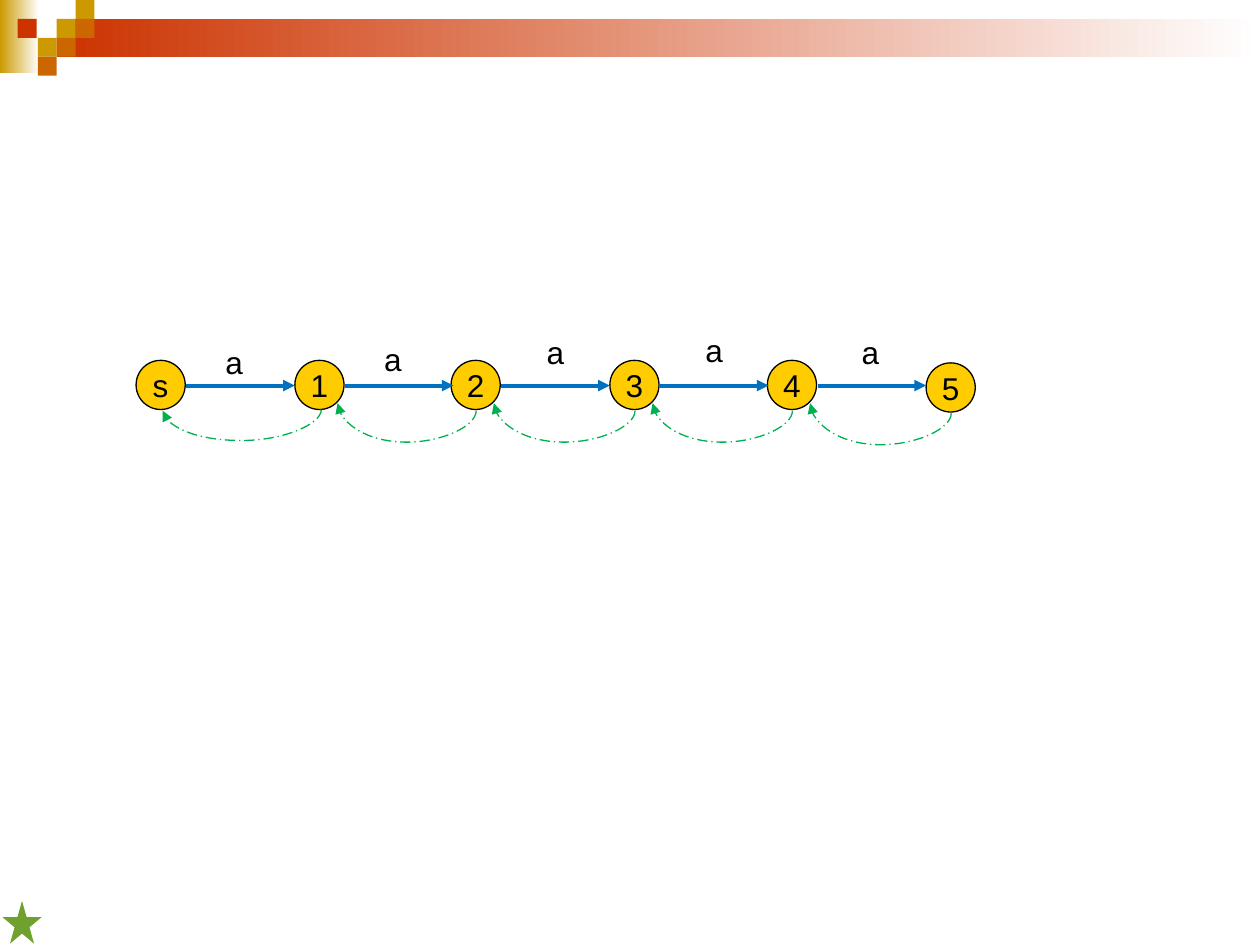
from lxml.etree import SubElement
from pptx import Presentation
from pptx.dml.color import RGBColor
from pptx.enum.dml import MSO_LINE
from pptx.enum.shapes import MSO_CONNECTOR, MSO_SHAPE
from pptx.enum.text import MSO_ANCHOR, MSO_AUTO_SIZE, PP_ALIGN
from pptx.oxml.ns import qn
from pptx.util import Inches, Pt

LEFTS = [1.08, 2.34, 3.58, 4.84, 6.09, 7.35]
TOPS = [2.86] * 5 + [2.88]
NAMES = ["s", "1", "2", "3", "4", "5"]
LABELS = [(1.69, 2.67), (2.95, 2.65), (4.24, 2.59), (5.5, 2.58), (6.74, 2.59)]
SIZE = 0.39
UNIT = 0.15
TILES = [(0.45, 0.15, "CC9900"), (0.6, 0, "CC9900"), (0.6, 0.15, "CC6600"),
         (0.3, 0.3, "CC9900"), (0.14, 0.15, "CC3300"), (0.45, 0.3, "CC6600"),
         (0.3, 0.45, "CC6600")]


def paint(color, value):
    """Set a colour format from a hex string."""
    color.rgb = RGBColor.from_string(value)


def add_form(slide, kind, box, color):
    """Add a flat preset shape without outline."""
    form = slide.shapes.add_shape(kind, *map(Inches, box))
    form.shadow.inherit = False
    form.fill.solid()
    paint(form.fill.fore_color, color)
    form.line.fill.background()
    return form


def add_fade(slide, box, color):
    """Add a rectangle that fades to white from left to right."""
    fill = add_form(slide, MSO_SHAPE.RECTANGLE, box, color).fill
    fill.gradient()
    fill.gradient_angle = 0
    for stop, value, place in zip(fill.gradient_stops, (color, "FFFFFF"), (0, 1)):
        paint(stop.color, value)
        stop.position = place


def write(frame, text, align):
    """Put one line of black Arial text in a frame."""
    frame.text = text
    frame.word_wrap = False
    frame.paragraphs[0].alignment = align
    font = frame.paragraphs[0].runs[0].font
    font.name, font.size = "Arial", Pt(18)
    paint(font.color, "000000")


def add_node(slide, left, top, name):
    """Add a named state circle."""
    node = add_form(slide, MSO_SHAPE.OVAL, (left, top, SIZE, SIZE), "FFCC00")
    paint(node.line.color, "000000")
    node.line.width = Pt(0.75)
    node.text_frame.vertical_anchor = MSO_ANCHOR.MIDDLE
    write(node.text_frame, name, PP_ALIGN.CENTER)


def add_label(slide, left, top, text):
    """Add the letter of a transition."""
    box = slide.shapes.add_textbox(*map(Inches, (left, top, 0.34, 0.4)))
    write(box.text_frame, text, PP_ALIGN.LEFT)
    box.text_frame.auto_size = MSO_AUTO_SIZE.SHAPE_TO_FIT_TEXT


def add_arrow(slide, kind, ends, color, width):
    """Add a connector with a triangle at its end."""
    arrow = slide.shapes.add_connector(kind, *map(Inches, ends))
    paint(arrow.line.color, color)
    arrow.line.width = Pt(width)
    SubElement(arrow.line._get_or_add_ln(), qn("a:tailEnd"), type="triangle")
    SubElement(arrow._element.spPr, qn("a:effectLst"))
    return arrow


def add_return(slide, start, end, sag=0.25):
    """Add a dashed curve that hangs below its two ends."""
    (x1, y1), (x2, y2) = start, end
    midx, midy = (x1 + x2) / 2, (y1 + y2) / 2
    rise, span = (y2 - y1) / 2, (x1 - x2) / 2
    ends = (midx - rise, midy - span, midx + rise, midy + span)
    arrow = add_arrow(slide, MSO_CONNECTOR.CURVE, ends, "00B050", 0.75)
    arrow.line.dash_style = MSO_LINE.LONG_DASH_DOT
    props = arrow._element.spPr
    props.find(qn("a:xfrm")).set("rot", "5400000")
    shape = props.find(qn("a:prstGeom"))
    guides = shape.find(qn("a:avLst"))
    if guides is None:
        guides = SubElement(shape, qn("a:avLst"))
    bend = round(sag / (y2 - y1) * 100000)
    SubElement(guides, qn("a:gd"), name="adj1", fmla=f"val {bend}")


def add_decor(slide):
    """Add the top band, its tiles and the corner star."""
    add_fade(slide, (0, 0, 0.31, 0.58), "CC9900")
    add_fade(slide, (0.45, 0.15, 9.55, 0.3), "CC3300")
    for left, top, color in TILES:
        add_form(slide, MSO_SHAPE.RECTANGLE, (left, top, UNIT, UNIT), color)
    add_form(slide, MSO_SHAPE.STAR_5_POINT, (0.02, 7.15, 0.31, 0.34), "70A02E")


def main():
    """Build the automaton slide."""
    deck = Presentation()
    deck.slide_width, deck.slide_height = Inches(10), Inches(7.5)
    slide = deck.slides.add_slide(deck.slide_layouts[6])
    add_decor(slide)
    for left, top, name in zip(LEFTS, TOPS, NAMES):
        add_node(slide, left, top, name)
    for left in LEFTS[:-1]:
        ends = (left + 0.4, 3.06, left + 1.26, 3.06)
        add_arrow(slide, MSO_CONNECTOR.STRAIGHT, ends, "0070C0", 2.25)
    for left, top in LABELS:
        add_label(slide, left, top, "a")
    add_return(slide, (2.55, 3.25), (1.29, 3.26))
    for prior, left, top in zip(LEFTS[1:], LEFTS[2:], TOPS[2:]):
        add_return(slide, (left + 0.2, top + 0.4), (prior + 0.34, 3.2))
    deck.save("out.pptx")


if __name__ == "__main__":
    main()
